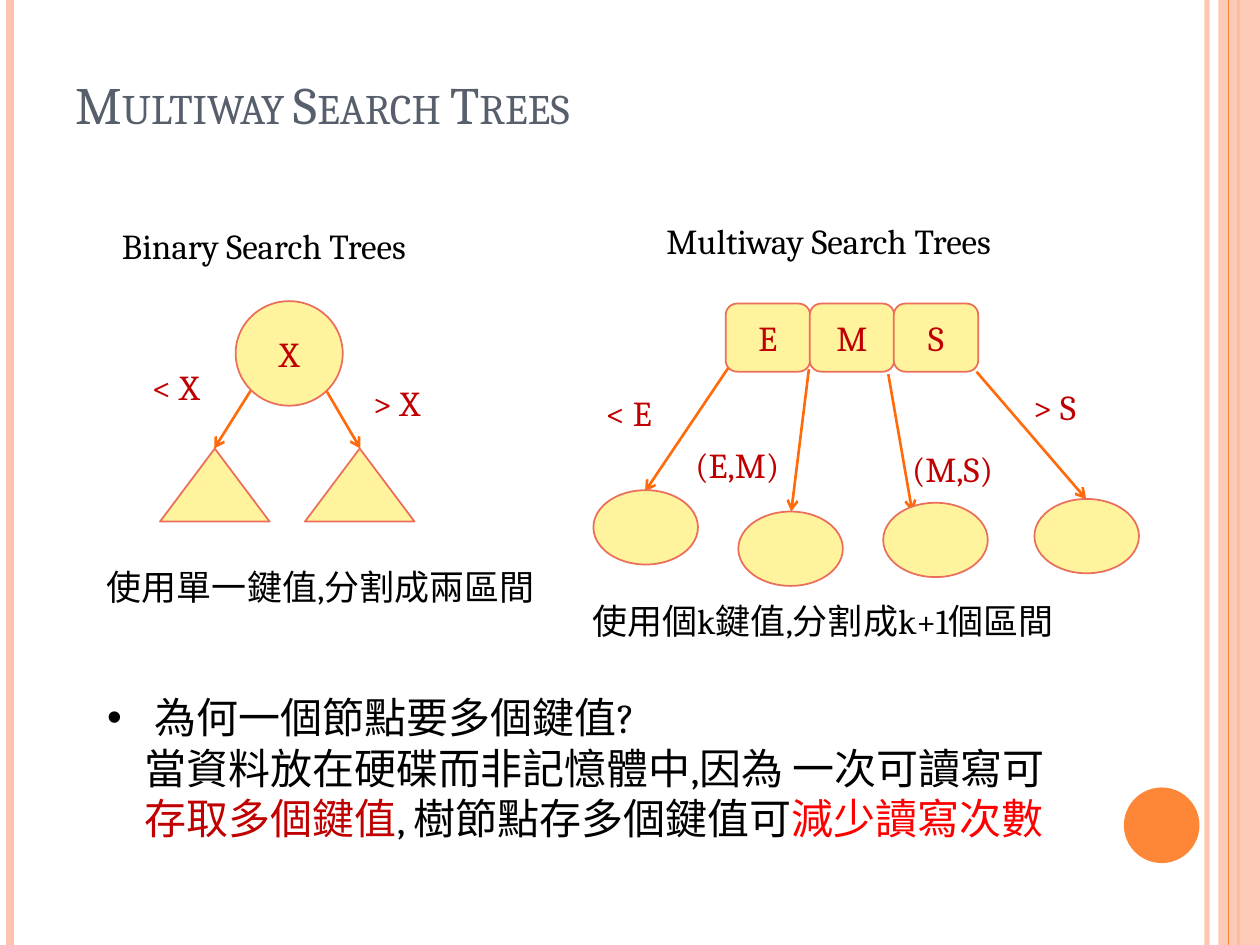
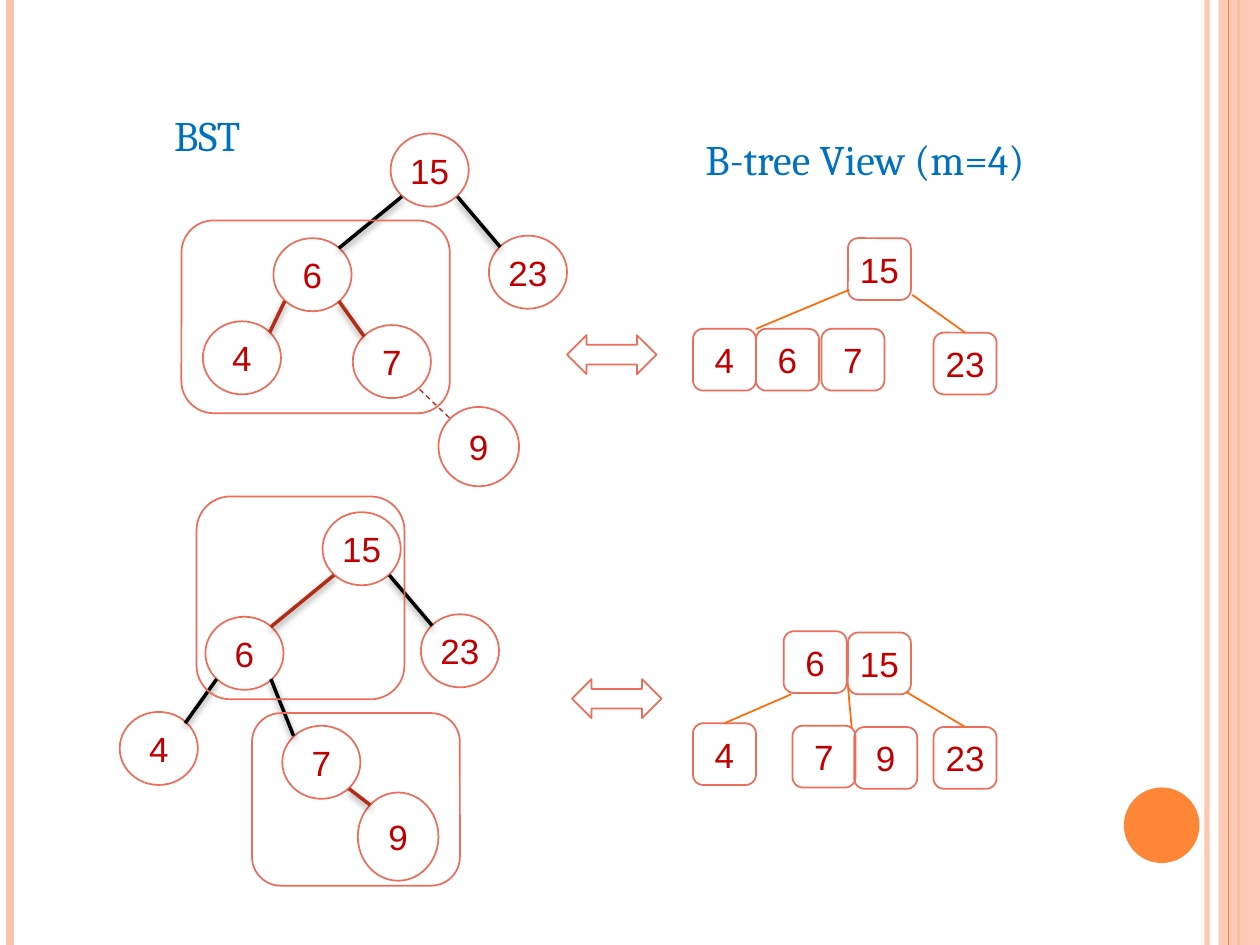
"""Two slides on multiway search trees: key ranges, and a BST seen as a B-tree."""
from dataclasses import dataclass
from typing import Optional

from lxml import etree
from pptx import Presentation
from pptx.dml.color import RGBColor
from pptx.enum import dml, shapes, text
from pptx.oxml import ns, parse_xml
from pptx.util import Inches, Pt

ORANGE, PEACH, ARROW = "FE8637", "FEC3AE", "FF6B0A"
OUTLINE, YELLOW, KEY_RED = "EB6E5A", "FFF39D", "C00000"
SLATE, BLUE, BLACK, BRICK, RED = "575F6D", "0070C0", "000000", "B32C16", "FF0000"
SERIF, SANS = "Cambria", "Arial"
KIND = shapes.MSO_SHAPE
SHADOW = (
    f'<a:effectLst {ns.nsdecls("a")}><a:outerShdw blurRad="50800" dist="25400" '
    'dir="5400000" rotWithShape="0"><a:srgbClr val="000000"><a:alpha val="40000"/>'
    '</a:srgbClr></a:outerShdw></a:effectLst>'
)


@dataclass
class Box:
    """Left, top, width and height in inches."""
    left: float
    top: float
    width: float
    height: float

    def emu(self):
        """Return the four lengths for python-pptx."""
        return [Inches(v) for v in (self.left, self.top, self.width, self.height)]


@dataclass
class Line:
    """A straight line with its look."""
    x1: float
    y1: float
    x2: float
    y2: float
    color: str = ARROW
    width: float = 1
    arrow: bool = False
    shadow: bool = False
    dashed: bool = False
    opacity: int = 100


@dataclass
class Label:
    """Free-standing text."""
    words: str
    box: Box
    color: str = KEY_RED
    size: int = 20
    centered: bool = False


@dataclass
class Node:
    """A tree node: key and top left corner, with an optional own size."""
    key: str
    left: float
    top: float
    width: float = 0.62
    height: float = 0.58


def rgb(value: str) -> RGBColor:
    """Turn a hex string into a colour."""
    return RGBColor.from_string(value)


def style(paragraph, color: str, size: int, font: str = SERIF) -> None:
    """Set the font of a whole paragraph."""
    paragraph.font.name = font
    paragraph.font.size = Pt(size)
    paragraph.font.color.rgb = rgb(color)


def set_opacity(item, percent: int) -> None:
    """Make the first colour of a shape or line see-through."""
    color = next(item._element.spPr.iter(ns.qn("a:srgbClr")))
    etree.SubElement(color, ns.qn("a:alpha")).set("val", str(percent * 1000))


def draw_line(slide, line: Line) -> None:
    """Draw a connector."""
    ends = [Inches(v) for v in (line.x1, line.y1, line.x2, line.y2)]
    connector = slide.shapes.add_connector(shapes.MSO_CONNECTOR.STRAIGHT, *ends)
    connector.line.color.rgb = rgb(line.color)
    connector.line.width = Pt(line.width)
    if line.dashed:
        connector.line.dash_style = dml.MSO_LINE.DASH
    if line.opacity < 100:
        set_opacity(connector, line.opacity)
    properties = connector._element.spPr
    if line.arrow:
        tail = etree.SubElement(properties.find(ns.qn("a:ln")), ns.qn("a:tailEnd"))
        tail.set("type", "arrow")
    if line.shadow:
        properties.append(parse_xml(SHADOW))
    else:
        etree.SubElement(properties, ns.qn("a:effectLst"))


def draw_shape(slide, kind, box: Box, fill: Optional[str] = None,
               outline: Optional[str] = OUTLINE, key: str = "", font: str = SERIF):
    """Draw a preset shape, with a centred key if there is one."""
    shape = slide.shapes.add_shape(kind, *box.emu())
    shape.shadow.inherit = False
    if fill:
        shape.fill.solid()
        shape.fill.fore_color.rgb = rgb(fill)
    else:
        shape.fill.background()
    if outline:
        shape.line.color.rgb = rgb(outline)
        shape.line.width = Pt(1)
    else:
        shape.line.fill.background()
    if key:
        frame = shape.text_frame
        frame.text = key
        frame.vertical_anchor = text.MSO_ANCHOR.MIDDLE
        if font == SANS:
            frame.margin_left = frame.margin_right = Inches(0.04)
        paragraph = frame.paragraphs[0]
        paragraph.alignment = text.PP_ALIGN.CENTER
        style(paragraph, KEY_RED, 20, font)
    return shape


def draw_label(slide, label: Label) -> None:
    """Draw a text box."""
    frame = slide.shapes.add_textbox(*label.box.emu()).text_frame
    frame.word_wrap = True
    frame.text = label.words
    paragraph = frame.paragraphs[0]
    if label.centered:
        paragraph.alignment = text.PP_ALIGN.CENTER
    style(paragraph, label.color, label.size)


def draw_node(slide, kind, node: Node) -> None:
    """Draw an unfilled tree node."""
    box = Box(node.left, node.top, node.width, node.height)
    draw_shape(slide, kind, box, key=node.key, font=SANS)


def draw_frame(slide) -> None:
    """Draw the side bands and the corner disc."""
    draw_line(slide, Line(9.58, 0, 9.58, 7.5, PEACH, 3, opacity=93))
    draw_line(slide, Line(0.08, 0, 0.08, 7.5, PEACH, 4.5))
    draw_line(slide, Line(9.83, 0, 9.83, 7.5, ORANGE, 1.5))
    band = draw_shape(slide, KIND.RECTANGLE, Box(9.67, 0, 0.33, 7.5), PEACH, None)
    set_opacity(band, 87)
    draw_line(slide, Line(9.75, 0, 9.75, 7.5, ORANGE, 0.75))
    draw_shape(slide, KIND.OVAL, Box(8.92, 6.25, 0.6, 0.6), ORANGE, None)


def place(placeholder, box: Box) -> None:
    """Move a placeholder."""
    placeholder.left, placeholder.top, placeholder.width, placeholder.height = box.emu()


def write_title(slide, words: str) -> None:
    """Fill the title placeholder in small capitals."""
    title = slide.shapes.title
    place(title, Box(0.5, 0.33, 8.17, 0.79))
    title.text_frame.text = words
    title.text_frame.vertical_anchor = text.MSO_ANCHOR.BOTTOM
    paragraph = title.text_frame.paragraphs[0]
    paragraph.alignment = text.PP_ALIGN.LEFT
    style(paragraph, SLATE, 30)
    paragraph.runs[0].font._element.set("cap", "small")


def write_reasons(slide) -> None:
    """Fill the body placeholder with the question and its answer."""
    body = slide.placeholders[1]
    place(body, Box(0.75, 5.44, 8.26, 1.72))
    frame = body.text_frame
    frame.auto_size = text.MSO_AUTO_SIZE.NONE
    lines = [
        [("為何一個節點要多個鍵值?", BLACK)],
        [("當資料放在硬碟而非記憶體中,因為 一次可讀寫可", BLACK)],
        [("存取多個鍵值", KEY_RED), (", 樹節點存多個鍵值可", BLACK), ("減少讀寫次數", RED)],
    ]
    for number, parts in enumerate(lines):
        paragraph = frame.add_paragraph() if number else frame.paragraphs[0]
        paragraph.space_before = Pt(0)
        style(paragraph, BLACK, 24)
        for words, color in parts:
            run = paragraph.add_run()
            run.text = words
            if color != BLACK:
                run.font.color.rgb = rgb(color)
        margin, indent = (0.3, 0) if number else (0.38, -0.38)
        properties = paragraph._p.get_or_add_pPr()
        properties.set("marL", str(Inches(margin)))
        properties.set("indent", str(Inches(indent)))
        bullet = parse_xml(f'<a:buNone {ns.nsdecls("a")}/>' if number else
                           f'<a:buChar {ns.nsdecls("a")} char="•"/>')
        properties.find(ns.qn("a:defRPr")).addprevious(bullet)


def build_ranges(slide) -> None:
    """Binary and multiway search trees side by side."""
    write_title(slide, "Multiway Search Trees")
    draw_shape(slide, KIND.OVAL, Box(1.87, 2.39, 0.85, 0.83), YELLOW, key="X")
    for left in (1.27, 2.42):
        draw_shape(slide, KIND.ISOSCELES_TRIANGLE, Box(left, 3.56, 0.87, 0.58), YELLOW)
    for column, key in enumerate("EMS"):
        cell = Box(5.76 + column * 0.667, 2.41, 0.67, 0.54)
        draw_shape(slide, KIND.ROUNDED_RECTANGLE, cell, YELLOW, key=key)
    branches = [
        (1.99, 3.1, 1.7, 3.56), (2.59, 3.1, 2.86, 3.56),
        (5.78, 2.92, 5.12, 3.9), (6.42, 2.93, 6.28, 4.06),
        (7.05, 2.97, 7.24, 4.06), (7.75, 2.95, 8.62, 3.96),
    ]
    for ends in branches:
        draw_line(slide, Line(*ends, width=1.5, arrow=True))
    for left, top in [(4.71, 3.89), (5.86, 4.06), (7.01, 3.99), (8.21, 3.96)]:
        draw_shape(slide, KIND.OVAL, Box(left, top, 0.83, 0.59), YELLOW)
    ranges = [("< X", 1.11, 2.85), ("> X", 2.86, 2.98), ("< E", 4.71, 3.06),
              ("> S", 8.1, 3.01), ("(M,S)", 7.14, 3.5), ("(E,M)", 5.42, 3.47)]
    for words, left, top in ranges:
        draw_label(slide, Label(words, Box(left, top, 1.03, 0.44)))
    captions = [("Binary Search Trees", 0.87, 1.73, 3.73),
                ("Multiway Search Trees", 5.19, 1.69, 3.81),
                ("使用單一鍵值,分割成兩區間", 0.75, 4.44, 3.73),
                ("使用個k鍵值,分割成k+1個區間", 4.6, 4.71, 4.32)]
    for words, left, top, width in captions:
        draw_label(slide, Label(words, Box(left, top, width, 0.44), BLACK))
    write_reasons(slide)


def draw_crown(slide, dx: float, dy: float, left_color: str) -> None:
    """Draw the top of a BST (15 over 6 and 23), shifted by dx and dy."""
    for key, left, top in [("15", 3.1, 1.06), ("6", 2.17, 1.89), ("23", 3.88, 1.87)]:
        draw_node(slide, KIND.OVAL, Node(key, left + dx, top + dy))
    for x1, x2, y2, color in [(3.19, 2.69, 1.97, left_color), (3.63, 3.97, 1.96, BLACK)]:
        draw_line(slide, Line(x1 + dx, 1.56 + dy, x2 + dx, y2 + dy, color, 2, shadow=True))


def build_views(slide) -> None:
    """The same keys as a BST and as a B-tree, before and after adding 9."""
    draw_label(slide, Label("BST", Box(1.16, 0.82, 0.97, 0.5), BLUE, 24, True))
    draw_label(slide, Label("B-tree View (m=4)", Box(5, 1.01, 3.73, 0.5), BLUE, 24, True))

    draw_crown(slide, 0, 0, BLACK)
    draw_crown(slide, -0.54, 3.005, BRICK)
    bst_nodes = [Node("4", 1.61, 2.55), Node("7", 2.8, 2.58), Node("9", 3.48, 3.23, 0.64, 0.63),
                 Node("4", 0.95, 5.65), Node("7", 2.24, 5.76), Node("9", 2.84, 6.29, 0.64, 0.7)]
    for node in bst_nodes:
        draw_node(slide, KIND.OVAL, node)
    bst_edges = [
        (2.26, 2.39, 2.14, 2.64, BRICK), (2.69, 2.39, 2.89, 2.67, BRICK),
        (1.72, 5.39, 1.47, 5.74, BLACK), (2.15, 5.39, 2.33, 5.84, BLACK),
        (2.77, 6.26, 2.94, 6.39, BRICK),
    ]
    for edge in bst_edges:
        draw_line(slide, Line(*edge, width=2, shadow=True))
    draw_line(slide, Line(3.33, 3.09, 3.57, 3.32, BRICK, 0.75, dashed=True))
    for group in [Box(1.44, 1.75, 2.13, 1.53), Box(1.56, 3.94, 1.65, 1.61),
                  Box(2, 5.66, 1.65, 1.37)]:
        draw_shape(slide, KIND.ROUNDED_RECTANGLE, group)

    btree_keys = [
        ("15", 6.73, 1.89), ("4", 5.5, 2.61), ("6", 6, 2.61), ("7", 6.52, 2.61),
        ("23", 7.41, 2.64), ("6", 6.22, 5.01), ("15", 6.73, 5.02), ("4", 5.5, 5.74),
        ("7", 6.29, 5.76), ("9", 6.78, 5.77), ("23", 7.41, 5.77),
    ]
    for key, left, top in btree_keys:
        draw_node(slide, KIND.ROUNDED_RECTANGLE, Node(key, left, top, 0.5, 0.49))
    for ends in [(6.74, 2.3, 6, 2.61), (7.24, 2.34, 7.66, 2.64), (6.28, 5.51, 5.75, 5.74),
                 (6.73, 5.45, 6.76, 5.78), (7.19, 5.49, 7.66, 5.77)]:
        draw_line(slide, Line(*ends))
    for left, top in [(4.5, 2.66), (4.54, 5.39)]:
        draw_shape(slide, KIND.LEFT_RIGHT_ARROW, Box(left, top, 0.71, 0.31))


deck = Presentation()
deck.slide_width, deck.slide_height = Inches(10), Inches(7.5)
TITLE_AND_CONTENT, BLANK = 1, 6
for layout, build in [(TITLE_AND_CONTENT, build_ranges), (BLANK, build_views)]:
    page = deck.slides.add_slide(deck.slide_layouts[layout])
    draw_frame(page)
    build(page)
deck.save("out.pptx")
